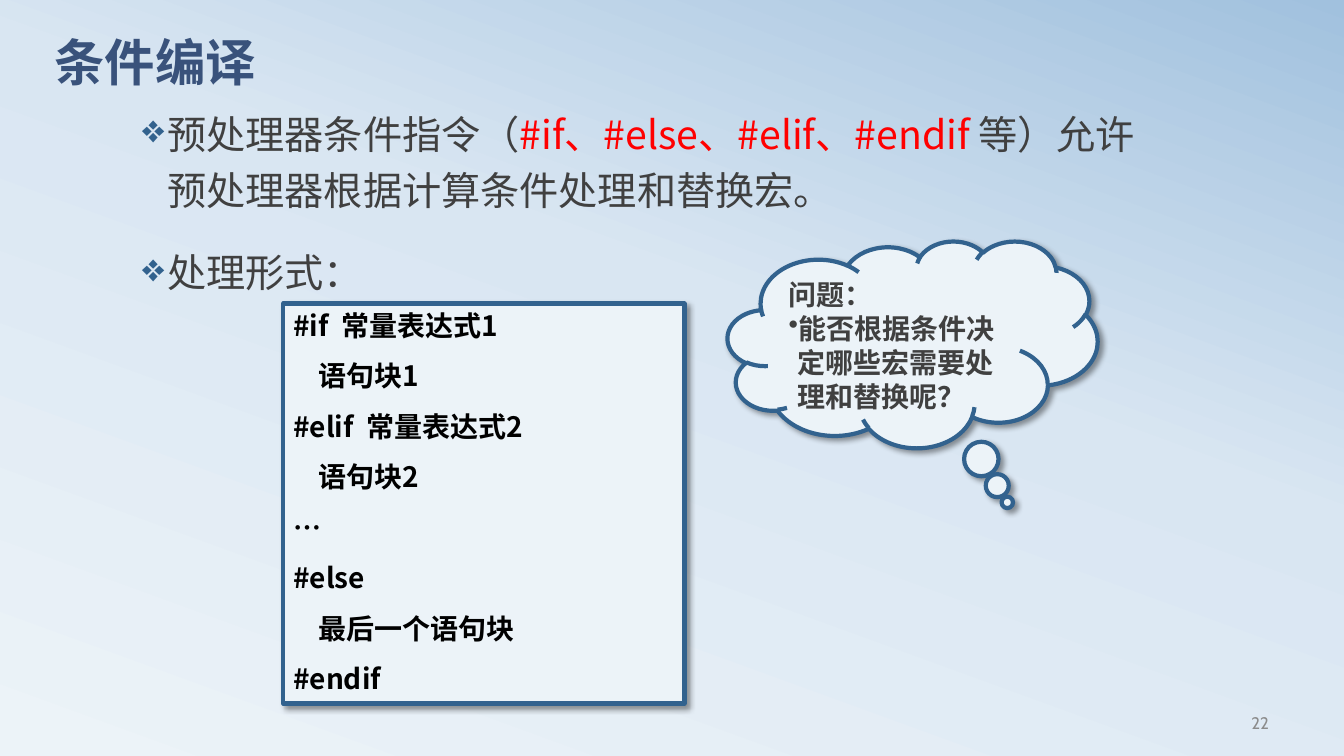
import copy

import pptx
import pptx.dml.color
import pptx.enum.lang
import pptx.enum.shapes
import pptx.enum.text
import pptx.oxml
import pptx.oxml.ns
import pptx.util
from pptx.util import Cm

COLORS = {
    "pale": "ECF3F8", "mist": "D9E6F2", "sky": "A1C1DE", "navy": "39527B",
    "blue": "32628E", "gray": "404040", "light_gray": "8C8C8C",
    "red": "FF0000", "black": "000000",
}
BODY_FONT = "Noto Sans CJK SC"
HEAD_FONT = "Cabin"


def rgb(name):
    return pptx.dml.color.RGBColor.from_string(COLORS[name])


def add_xml(parent, xml):
    """Append one drawing element written without its namespace."""
    tag, rest = xml[1:].split(" ", 1)
    declared = f"<{tag} {pptx.oxml.ns.nsdecls('a')} {rest}"
    parent.append(pptx.oxml.parse_xml(declared))


class SlideBuilder:
    def __init__(self, page):
        self.page = page

    def background(self, stops, angle):
        fill = self.page.background.fill
        fill.gradient()
        fill.gradient_angle = angle
        stop_list = next(self.page.element.iter(pptx.oxml.ns.qn("a:gsLst")))
        while len(stop_list) < len(stops):
            stop_list.append(copy.deepcopy(stop_list[0]))
        for stop, (position, color) in zip(fill.gradient_stops, stops):
            stop.position = position
            stop.color.rgb = rgb(color)

    def text_box(self, left, top, width, height, anchor="TOP"):
        box = self.page.shapes.add_textbox(Cm(left), Cm(top), Cm(width), Cm(height))
        return self.frame(box, anchor)

    def panel(self, kind, left, top, width, height, adjustments=()):
        shape = self.page.shapes.add_shape(
            kind, Cm(left), Cm(top), Cm(width), Cm(height))
        for index, value in enumerate(adjustments):
            shape.adjustments[index] = value
        shape.fill.solid()
        shape.fill.fore_color.rgb = rgb("pale")
        shape.line.color.rgb = rgb("blue")
        shape.line.width = pptx.util.Pt(3)
        shape.shadow.inherit = False
        effects = shape.element.spPr.find(pptx.oxml.ns.qn("a:effectLst"))
        add_xml(effects, '<a:outerShdw blurRad="50800" dist="38100" dir="2700000" '
                         'algn="tl" rotWithShape="0"><a:srgbClr val="000000">'
                         '<a:alpha val="40000"/></a:srgbClr></a:outerShdw>')
        return self.frame(shape, "TOP")

    def frame(self, box, anchor):
        frame = box.text_frame
        frame.word_wrap = True
        frame.vertical_anchor = pptx.enum.text.MSO_ANCHOR[anchor]
        return frame

    def paragraph(self, frame, spans, size, font=BODY_FONT, bold=False, pitch=None,
                  before=0, after=0, indent=0, bullet=None, align="LEFT", level=0):
        first = not frame.paragraphs[0].runs
        para = frame.paragraphs[0] if first else frame.add_paragraph()
        para.level = level
        properties = para._p.get_or_add_pPr()
        properties.set("marL", str(Cm(indent)))
        properties.set("indent", str(-Cm(indent)))
        if bullet:
            mark, color = bullet
            add_xml(properties, f'<a:buClr ><a:srgbClr val="{COLORS[color]}"/></a:buClr>')
            add_xml(properties, f'<a:buChar char="{mark}"/>')
        para.alignment = pptx.enum.text.PP_ALIGN[align]
        para.space_before = pptx.util.Pt(0 if first else before)
        para.space_after = pptx.util.Pt(after)
        if pitch:
            para.line_spacing = pptx.util.Pt(pitch)
        for text, color in spans:
            span = para.add_run()
            span.text = text
            span.font.size = pptx.util.Pt(size)
            span.font.bold = bold
            span.font.name = font
            span.font.color.rgb = rgb(color)
            span.font.language_id = pptx.enum.lang.MSO_LANGUAGE_ID.SIMPLIFIED_CHINESE
            add_xml(span.font._element, f'<a:ea typeface="{BODY_FONT}"/>')


def main():
    deck = pptx.Presentation()
    deck.slide_width, deck.slide_height = Cm(33.87), Cm(19.05)
    page = deck.slides.add_slide(deck.slide_layouts[6])
    builder = SlideBuilder(page)
    shapes = pptx.enum.shapes.MSO_SHAPE

    builder.background([(0, "pale"), (0.58, "mist"), (1, "sky")], angle=70)

    # Page number and title
    number = builder.text_box(24.33, 17.7, 7.9, 1.02, anchor="MIDDLE")
    builder.paragraph(number, [("22", "light_gray")], 12, HEAD_FONT, align="RIGHT")
    title = builder.text_box(1.12, 0.91, 30.48, 2.39)
    builder.paragraph(title, [("条件编译", "navy")], 36, HEAD_FONT, bold=True, pitch=36)

    # Main points
    points = builder.text_box(3.33, 2.4, 26.5, 5.74)
    for spans in (
        [("预处理器条件指令（", "gray"),
         ("#if、#else、#elif、#endif ", "red"),
         ("等）允许预处理器根据计算条件处理和替换宏。", "gray")],
        [("处理形式：", "gray")],
    ):
        builder.paragraph(points, spans, 28, pitch=40.6, before=18,
                          indent=0.64, bullet=("❖", "blue"))

    # Question cloud
    cloud = builder.panel(shapes.CLOUD_CALLOUT, 18.34, 6.07, 9.32, 5.21, (0.256, 0.765))
    for text, bullet in (("问题：", None),
                         ("能否根据条件决定哪些宏需要处理和替换呢？", ("•", "gray"))):
        builder.paragraph(cloud, [(text, "gray")], 20, bold=True, pitch=24.3,
                          indent=0.23, bullet=bullet)

    # Directive syntax
    syntax = builder.panel(shapes.RECTANGLE, 7.14, 7.65, 10.11, 10.08)
    for line in ("#if  常量表达式1", "    语句块1", "#elif  常量表达式2", "    语句块2",
                 "…", "#else", "    最后一个语句块", "#endif"):
        builder.paragraph(syntax, [(line, "black")], 20, bold=True, pitch=24,
                          before=6, after=6, indent=1.27,
                          level=2 if line.startswith(" ") else 1)

    deck.save("out.pptx")


if __name__ == "__main__":
    main()
